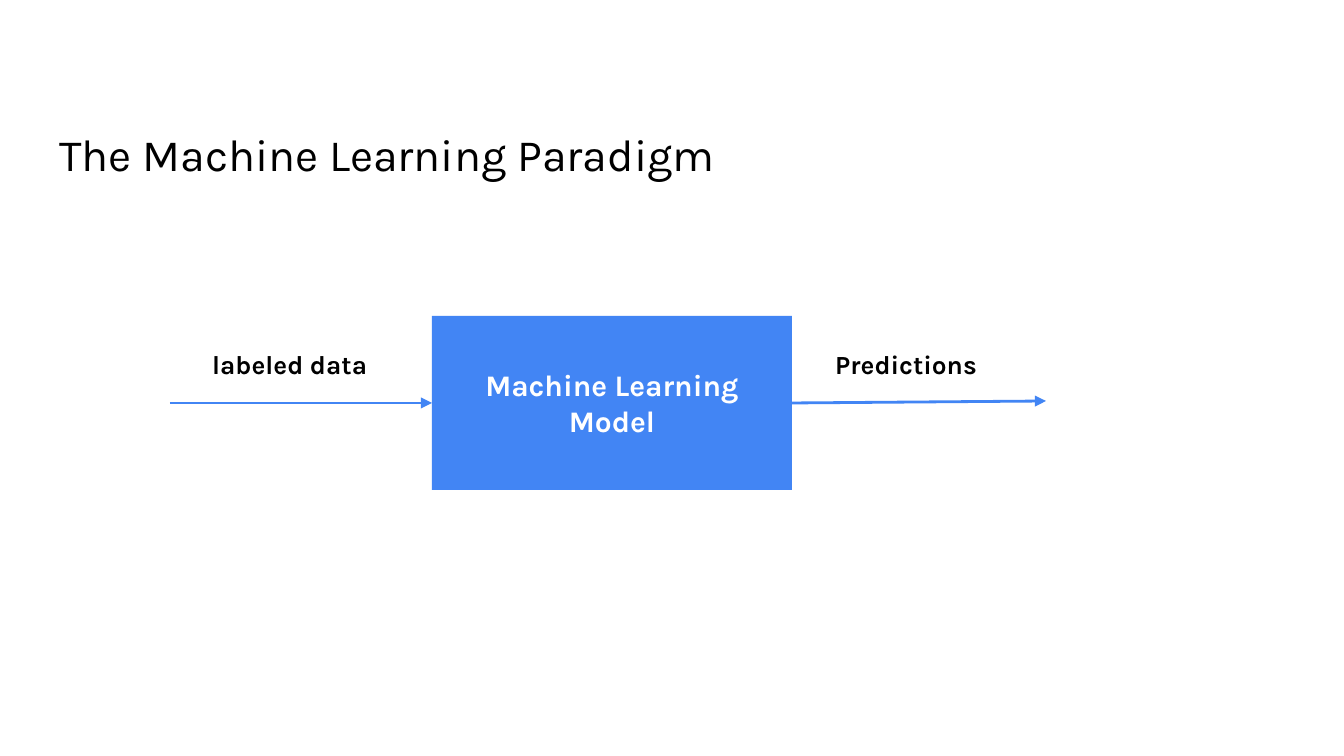
"""Build a slide showing the machine learning paradigm as a labelled flow."""
from dataclasses import dataclass

from lxml.etree import SubElement
from pptx import Presentation
from pptx.dml.color import RGBColor
from pptx.enum.shapes import MSO_CONNECTOR, MSO_SHAPE
from pptx.enum.text import MSO_ANCHOR, MSO_AUTO_SIZE, PP_ALIGN
from pptx.oxml.ns import qn
from pptx.slide import Slide
from pptx.text.text import TextFrame
from pptx.util import Emu, Inches, Pt

BLACK = RGBColor(0x00, 0x00, 0x00)
WHITE = RGBColor(0xFF, 0xFF, 0xFF)
BLUE = RGBColor(0x42, 0x85, 0xF4)
FONT = "Karla"


@dataclass(frozen=True)
class Box:
    x: int
    y: int
    w: int
    h: int


@dataclass(frozen=True)
class Label:
    text: str
    box: Box


@dataclass(frozen=True)
class Arrow:
    x1: int
    y1: int
    x2: int
    y2: int


MODEL = Box(432, 316, 360, 174)
MIDDLE = MODEL.y + MODEL.h // 2
LABELS = [
    Label("labeled data", Box(199, 335, 199, 59)),
    Label("Predictions", Box(822, 335, 224, 59)),
]
ARROWS = [
    Arrow(170, MIDDLE, MODEL.x, MIDDLE),
    Arrow(MODEL.x + MODEL.w, MIDDLE, 1046, MIDDLE - 2),
]


def px(n: int) -> Emu:
    return Emu(round(n * 914400 / 134.4))


def place(box: Box) -> tuple[Emu, Emu, Emu, Emu]:
    return px(box.x), px(box.y), px(box.w), px(box.h)


def write(tf: TextFrame, text: str, size: int, color: RGBColor, bold: bool,
          align: PP_ALIGN, anchor: MSO_ANCHOR, inset: float) -> None:
    tf.text = text
    tf.word_wrap = True
    tf.auto_size = MSO_AUTO_SIZE.NONE
    tf.vertical_anchor = anchor
    tf.margin_left = tf.margin_right = Inches(inset)
    tf.margin_top = tf.margin_bottom = Inches(inset)
    for p in tf.paragraphs:
        p.alignment = align
        p.font.name = FONT
        p.font.size = Pt(size)
        p.font.bold = bold
        p.font.color.rgb = color


def add_title(s: Slide, text: str, box: Box) -> None:
    sp = s.shapes.title
    sp.left, sp.top, sp.width, sp.height = place(box)
    write(sp.text_frame, text, 24, BLACK, False, PP_ALIGN.LEFT, MSO_ANCHOR.BOTTOM, 0.1)


def add_model(s: Slide, text: str, box: Box) -> None:
    sp = s.shapes.add_shape(MSO_SHAPE.RECTANGLE, *place(box))
    sp.shadow.inherit = False
    sp.fill.solid()
    sp.fill.fore_color.rgb = BLUE
    sp.line.fill.background()
    write(sp.text_frame, text, 16, WHITE, True, PP_ALIGN.CENTER, MSO_ANCHOR.MIDDLE, 0)


def add_label(s: Slide, label: Label) -> None:
    tf = s.shapes.add_textbox(*place(label.box)).text_frame
    write(tf, label.text, 14, BLACK, True, PP_ALIGN.LEFT, MSO_ANCHOR.TOP, 0.1)
    tf.auto_size = MSO_AUTO_SIZE.SHAPE_TO_FIT_TEXT


def add_arrow(s: Slide, arrow: Arrow) -> None:
    cx = s.shapes.add_connector(MSO_CONNECTOR.STRAIGHT, px(arrow.x1), px(arrow.y1),
                                px(arrow.x2), px(arrow.y2))
    cx.line.color.rgb = BLUE
    cx.line.width = Pt(1.5)
    SubElement(cx.line._get_or_add_ln(), qn("a:tailEnd"), type="triangle")
    SubElement(cx._element.spPr, qn("a:effectLst"))


def main() -> None:
    prs = Presentation()
    prs.slide_width, prs.slide_height = px(1344), px(756)
    s = prs.slides.add_slide(prs.slide_layouts[5])
    add_title(s, "The Machine Learning Paradigm", Box(46, 82, 1241, 112))
    add_model(s, "Machine Learning\nModel", MODEL)
    for arrow in ARROWS:
        add_arrow(s, arrow)
    for label in LABELS:
        add_label(s, label)
    prs.save("out.pptx")


if __name__ == "__main__":
    main()
